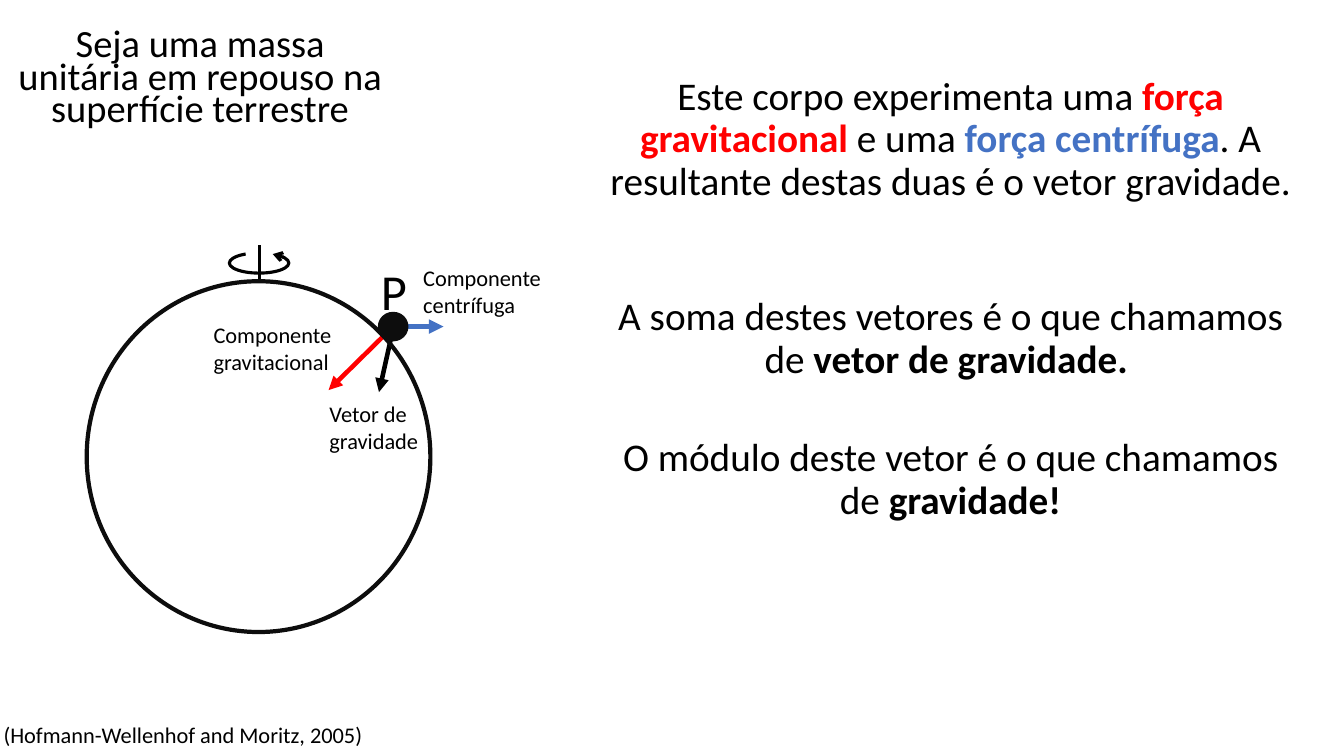
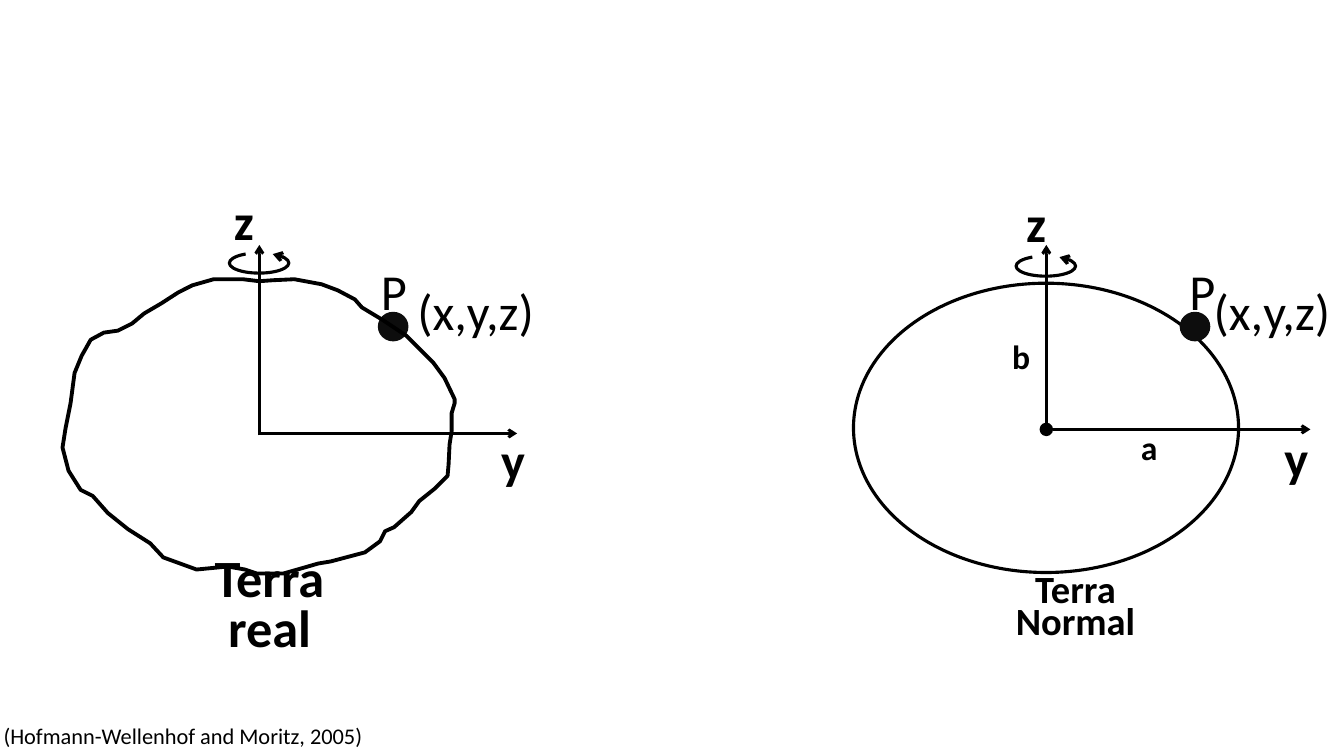
from lxml.etree import SubElement
from pptx import Presentation
from pptx.dml.color import RGBColor
from pptx.enum.shapes import MSO_CONNECTOR, MSO_SHAPE
from pptx.enum.text import MSO_ANCHOR, PP_ALIGN
from pptx.oxml.ns import qn
from pptx.util import Inches, Pt

BLACK = RGBColor(0x00, 0x00, 0x00)
INK = RGBColor(0x0D, 0x0D, 0x0D)
RED = RGBColor(0xFF, 0x00, 0x00)
BLUE = RGBColor(0x44, 0x72, 0xC4)
FONT = "Calibri"
ROWS, COLUMNS = 75, 133.33
CELL = Inches(7.5) / ROWS


def outline(shape, color, width, end=None, head=None):
    shape.line.color.rgb = color
    shape.line.width = Pt(width)
    properties = shape._element.spPr
    if end:
        SubElement(properties.find(qn("a:ln")), qn(f"a:{end}"), type=head)
    SubElement(properties, qn("a:effectLst"))


def add_text(slide, box, size, runs, spacing=0.9, centered=True, tight=False):
    frame = slide.shapes.add_textbox(*(round(CELL * n) for n in box)).text_frame
    frame.word_wrap = not tight
    if tight:
        frame.margin_left = frame.margin_right = 0
        frame.margin_top = frame.margin_bottom = 0
    frame.vertical_anchor = MSO_ANCHOR.BOTTOM if centered else MSO_ANCHOR.TOP
    paragraph = frame.paragraphs[0]
    paragraph.alignment = PP_ALIGN.CENTER if centered else PP_ALIGN.LEFT
    paragraph.line_spacing = spacing
    for words, color, bold in runs:
        run = paragraph.add_run()
        run.text = words
        run.font.name = FONT
        run.font.size = Pt(size)
        run.font.bold = bold
        run.font.color.rgb = color


deck = Presentation()
deck.slide_width = round(CELL * COLUMNS)
deck.slide_height = round(CELL * ROWS)
blank = deck.slide_layouts[6]
gravity = deck.slides.add_slide(blank)
earths = deck.slides.add_slide(blank)

arrows = [
    (gravity, (39, 32.4), (44, 32.4), BLUE, 3.5, "triangle"),
    (gravity, (39, 32.4), (32.6, 38.7), RED, 3.25, "triangle"),
    (gravity, (39, 32.6), (37.6, 38.9), BLACK, 3.25, "triangle"),
    (gravity, (25.73, 27.9), (25.73, 24.3), BLACK, 2, "none"),
    (earths, (103.8, 43.2), (103.8, 24.3), BLACK, 2, "arrow"),
    (earths, (104.5, 42.6), (130, 42.6), BLACK, 2, "arrow"),
    (earths, (25.73, 43.2), (25.73, 24.3), BLACK, 2, "arrow"),
    (earths, (25.73, 43), (51.3, 43), BLACK, 2, "arrow"),
]
for slide, start, finish, color, width, head in arrows:
    arrow = slide.shapes.add_connector(
        MSO_CONNECTOR.STRAIGHT, *(round(CELL * n) for n in start + finish))
    outline(arrow, color, width, "tailEnd", head)

ellipses = [
    (gravity, (8.6, 27.9, 34.1, 34.8), INK, 3, False),
    (earths, (84.67, 28.1, 38.2, 28.7), BLACK, 2.25, False),
    (earths, (103.2, 42, 1.2, 1.2), BLACK, 1, True),
    (gravity, (37.55, 31, 2.9, 2.8), INK, 1, True),
    (earths, (117.1, 31, 2.9, 2.8), INK, 1, True),
    (earths, (37.55, 31, 2.9, 2.8), INK, 1, True),
]
for slide, box, color, width, filled in ellipses:
    ellipse = slide.shapes.add_shape(MSO_SHAPE.OVAL, *(round(CELL * n) for n in box))
    if filled:
        ellipse.fill.solid()
        ellipse.fill.fore_color.rgb = color
    else:
        ellipse.fill.background()
    outline(ellipse, color, width)

for slide, left, top in [(gravity, 22.75, 25.1), (earths, 100.8, 25.4), (earths, 22.75, 25.1)]:
    rotation = slide.shapes.add_shape(
        MSO_SHAPE.ARC, *(round(CELL * n) for n in (left, top, 5.9, 2)))
    rotation.adjustments[0] = 196.037
    rotation.adjustments[1] = 128.269
    rotation.fill.background()
    outline(rotation, BLACK, 2.25, "headEnd", "arrow")

coast = [
    (25.7, 27.9), (27.1, 27.8), (29.2, 27.7), (31.9, 28.2), (33.5, 28.8), (35.2, 29.7),
    (35.9, 30.5), (37.9, 31.7), (40.3, 33.3), (41.7, 34.7), (43, 36), (44.1, 37.5),
    (45.1, 39.6), (45.1, 40), (44.8, 41), (44.8, 42.8), (44.6, 44.1), (44.5, 46.1),
    (44.4, 47.2), (43.1, 48.5), (41.6, 49.7), (40.8, 50.8), (39.1, 52.3), (38.2, 52.7),
    (37.7, 53.7), (36.2, 54.8), (32.8, 55.7), (31.6, 55.9), (29.5, 56.5), (28.1, 56.9),
    (25.5, 56.9), (24.3, 56.5), (22.6, 56.2), (19.5, 56.5), (16.2, 55.3), (14.9, 53.9),
    (12.7, 52.5), (10.7, 50.9), (9.2, 49.2), (8, 48.6), (6.8, 46.7), (6.2, 44.4),
    (6.5, 42.5), (7, 40), (7.4, 37), (8.1, 35.3), (9, 33.7), (10.3, 33), (11.7, 32.8),
    (13.1, 32.1), (14.3, 31.1), (16, 30.1), (17.7, 29), (19.1, 28.3), (21.2, 27.7),
    (24.1, 27.7),
]
shore = [(round(CELL * x), round(CELL * y)) for x, y in coast]
builder = earths.shapes.build_freeform(*shore[0])
builder.add_line_segments(shore[1:], close=True)
real_earth = builder.convert_to_shape()
real_earth.fill.background()
outline(real_earth, BLACK, 2.75)

add_text(gravity, (0.7, 0.3, 38.3, 13), 27.5,
         [("Seja uma massa unitária em repouso na superfície terrestre", BLACK, False)], 0.7)

add_text(gravity, (36.8, 25.35, 4.4, 7.1), 36, [("P", BLACK, False)], 1, False)

for left, top, width, words in [
    (41, 25.75, 14.2, "Componente centrífuga"),
    (20.2, 31.4, 14.2, "Componente gravitacional"),
    (31.7, 39.2, 11.9, "Vetor de gravidade"),
]:
    add_text(gravity, (left, top, width, 6.4), 16, [(words, BLACK, False)], 1, False)

statements = [
    (28.25, 10.1, [
        ("A soma destes vetores é o que chamamos de ", BLACK, False),
        ("vetor de gravidade. ", BLACK, True)]),
    (5.5, 15.2, [
        ("Este corpo experimenta uma ", BLACK, False),
        ("força gravitacional ", RED, True),
        ("e uma ", BLACK, False),
        ("força centrífuga", BLUE, True),
        (". A resultante destas duas é o vetor gravidade.", BLACK, False)]),
    (42.25, 10.1, [
        ("O módulo deste vetor é o que chamamos de ", BLACK, False),
        ("gravidade!", BLACK, True)]),
]
for top, height, runs in statements:
    add_text(gravity, (59.45, top, 69.7, height), 28, runs)

for point_left, position_left in [(117, 120.4), (36.8, 41.4)]:
    add_text(earths, (point_left, 25.35, 4.4, 7.1), 36, [("P", BLACK, False)], 1, False)
    add_text(earths, (position_left, 27.8, 11.7, 6.1), 36,
             [("(x,y,z)", BLACK, False)], 1, False, True)

for left, top, size, letter in [
    (100.3, 18.4, 36, "z"), (126.1, 41.7, 36, "y"),
    (98.8, 30.7, 24, "b"), (111.5, 39.65, 24, "a"),
    (21.7, 18.2, 36, "z"), (48.4, 41.9, 36, "y"),
]:
    add_text(earths, (left, top, 5, 7.2), size, [(letter, BLACK, True)])

for left, top, width, size, spacing, words in [
    (16.75, 59.25, 20, 37.4, 0.8, "Terra real"),
    (95.55, 57.7, 22.3, 27.5, 0.7, "Terra Normal"),
]:
    add_text(earths, (left, top, width, 6.5), size, [(words, BLACK, True)], spacing)

for slide, top in [(gravity, 71), (earths, 71.15)]:
    add_text(slide, (-1.6, top, 39.5, 3.7), 16,
             [("(Hofmann-Wellenhof and Moritz, 2005)", BLACK, False)])

deck.save("out.pptx")
